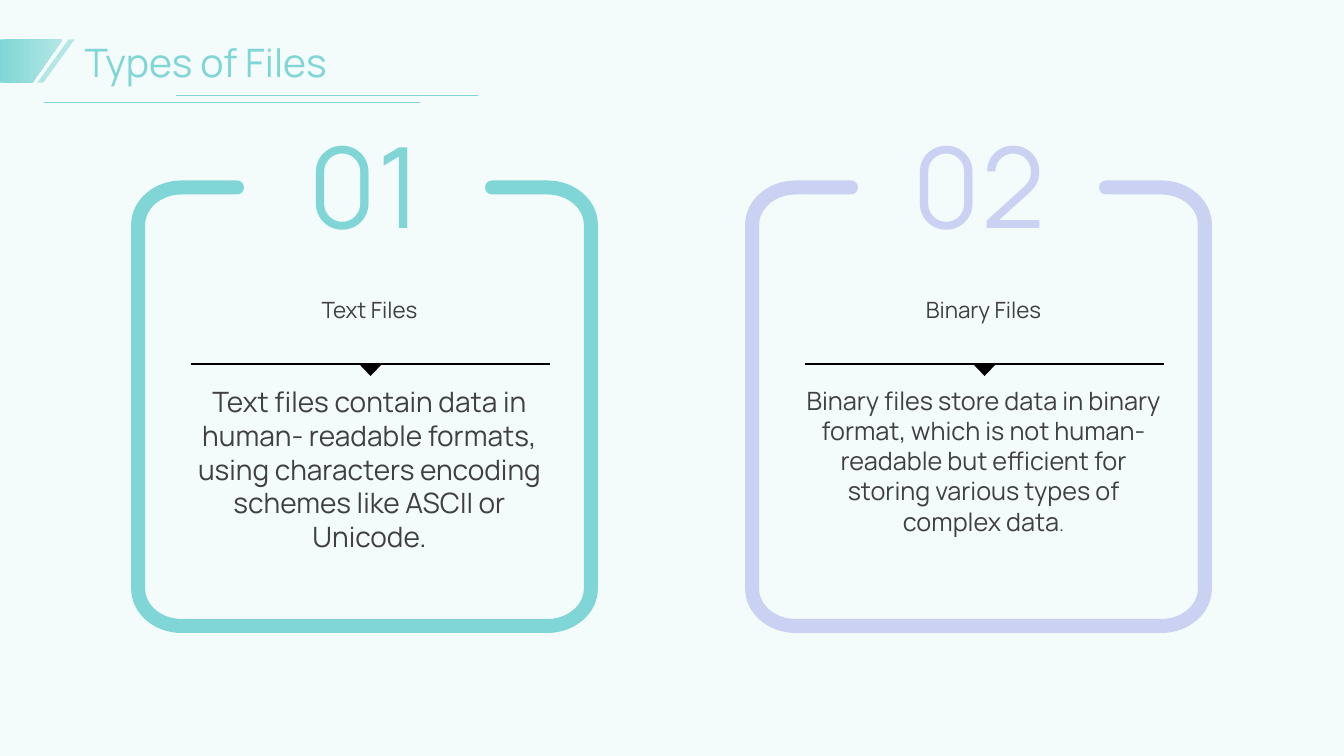
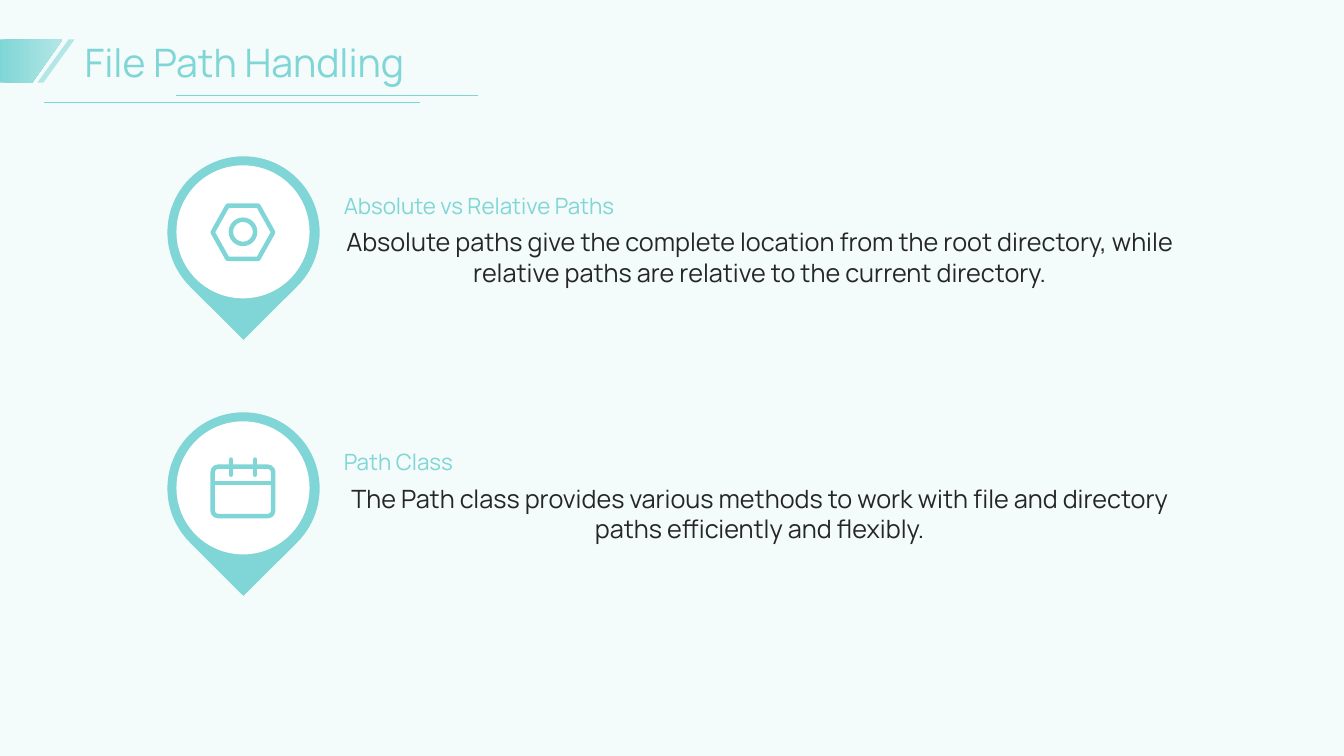
from lxml import etree
from pptx import Presentation
from pptx.dml.color import RGBColor
from pptx.enum import shapes, text
from pptx.oxml import ns
from pptx.util import Inches, Pt

TEAL = RGBColor(0x80, 0xD6, 0xD6)
PALE_TEAL = RGBColor(0xB3, 0xE6, 0xE6)
LILAC = RGBColor(0xCB, 0xD1, 0xF2)
MIST = RGBColor(0xE6, 0xF7, 0xF7)
GREY = RGBColor(0x40, 0x40, 0x40)
INK = RGBColor(0x26, 0x26, 0x26)
BLACK = RGBColor(0, 0, 0)
WHITE = RGBColor(0xFF, 0xFF, 0xFF)

SHAPE = shapes.MSO_SHAPE
LEFT, CENTER = text.PP_ALIGN.LEFT, text.PP_ALIGN.CENTER
TOP, MIDDLE, BOTTOM = (text.MSO_ANCHOR.TOP, text.MSO_ANCHOR.MIDDLE,
                       text.MSO_ANCHOR.BOTTOM)


class Deck:
    font = "Manrope"
    icon_line = 3.2

    def __init__(self):
        self.prs = Presentation()
        self.prs.slide_width = Inches(13.33)
        self.prs.slide_height = Inches(7.5)
        self.s = None

    def slide(self, title):
        """Start a slide with the shared tint and title band."""
        self.s = self.prs.slides.add_slide(self.prs.slide_layouts[6])
        tint = self.shape(SHAPE.RECTANGLE, (0, 0, 13.33, 7.5), MIST)
        color = tint._element.spPr.find(".//" + ns.qn("a:srgbClr"))
        etree.SubElement(color, ns.qn("a:alpha")).set("val", "43000")
        self.text((0.84, 0.36, 11.76, 0.51), [(title, 28)], TEAL,
                  anchor=MIDDLE, inset=False)
        self.shape(SHAPE.PARALLELOGRAM, (0.37, 0.39, 0.37, 0.43), PALE_TEAL,
                   rotation=180, adj=0.84)
        flag = self.outline([(0, 0.39), (0.62, 0.39), (0.32, 0.82), (0, 0.82)],
                            close=True)
        flag.fill.gradient()
        flag.fill.gradient_angle = 0
        for stop, color in zip(flag.fill.gradient_stops, (TEAL, PALE_TEAL)):
            stop.color.rgb = color
        flag.line.fill.background()
        self.line((0.44, 1.02), (4.17, 1.02), TEAL, 0.5)
        self.line((1.75, 0.95), (4.74, 0.95), TEAL, 0.5)

    def text(self, at, runs, color, align=LEFT, anchor=TOP, inset=True):
        tf = self.s.shapes.add_textbox(*map(Inches, at)).text_frame
        tf.word_wrap = True
        tf.vertical_anchor = anchor
        if not inset:
            tf.margin_left = tf.margin_right = 0
            tf.margin_top = tf.margin_bottom = 0
        p = tf.paragraphs[0]
        p.alignment = align
        for words, size in runs:
            r = p.add_run()
            r.text = words
            r.font.name = self.font
            r.font.size = Pt(size)
            r.font.color.rgb = color

    def shape(self, kind, at, fill=None, line=None, rotation=0, adj=None):
        sp = self.s.shapes.add_shape(kind, *map(Inches, at))
        sp.shadow.inherit = False
        sp.rotation = rotation
        if adj is not None:
            sp.adjustments[0] = adj
        if fill is None:
            sp.fill.background()
        else:
            sp.fill.solid()
            sp.fill.fore_color.rgb = fill
        if line is None:
            sp.line.fill.background()
        else:
            self.stroke(sp, line, self.icon_line)
        return sp

    def outline(self, points, close):
        points = [(Inches(x), Inches(y)) for x, y in points]
        builder = self.s.shapes.build_freeform(*points[0])
        builder.add_line_segments(points[1:], close=close)
        sp = builder.convert_to_shape()
        sp.shadow.inherit = False
        return sp

    def stroke(self, sp, color, width, rounded=True):
        sp.line.color.rgb = color
        sp.line.width = Pt(width)
        if rounded:
            ln = sp.line._get_or_add_ln()
            ln.set("cap", "rnd")
            etree.SubElement(ln, ns.qn("a:round"))

    def line(self, start, end, color, width, rounded=False):
        cx = self.s.shapes.add_connector(
            shapes.MSO_CONNECTOR.STRAIGHT, *map(Inches, start + end))
        self.stroke(cx, color, width, rounded)
        etree.SubElement(cx._element.spPr, ns.qn("a:effectLst"))

    def round_corner(self, before, corner, after):
        """Turn two path segments that meet in a corner into one curve."""
        start, mid, end = [
            [int(seg[0].get(axis)) for axis in "xy"]
            for seg in (before, corner, after)]
        curve = etree.Element(ns.qn("a:cubicBezTo"))
        controls = [[round(a + 0.55 * (m - a)) for a, m in zip(side, mid)]
                    for side in (start, end)]
        for x, y in controls + [end]:
            etree.SubElement(curve, ns.qn("a:pt"), x=str(x), y=str(y))
        parent = corner.getparent()
        parent.replace(corner, curve)
        parent.remove(after)

    def frame(self, x, y, w, h, color, rx=0.43, ry=0.37, stub=0.98):
        """Draw a rounded frame that is open in the middle of its top edge."""
        r, b = x + w, y + h
        sp = self.outline([
            (r - stub, y),
            (r - rx, y), (r, y), (r, y + ry),
            (r, b - ry), (r, b), (r - rx, b),
            (x + rx, b), (x, b), (x, b - ry),
            (x, y + ry), (x, y), (x + rx, y),
            (x + stub, y)], close=False)
        segments = list(sp._element.spPr.find(".//" + ns.qn("a:path")))
        for i in range(1, 13, 3):
            self.round_corner(*segments[i:i + 3])
        sp.fill.background()
        self.stroke(sp, color, 10)

    def card(self, x, number, label, body, color):
        self.frame(x, 1.86, 4.49, 4.35, color)
        self.text((x + 1.25, 1.11, 2, 1.54), [(number, 80)], color, CENTER)
        self.text((x + 0.42, 2.53, 3.75, 1.08), [(label, 16)], GREY, CENTER,
                  MIDDLE)
        self.text((x + 0.42, 3.77, 3.75, 2.33), body, GREY, CENTER)
        self.line((x + 0.52, 3.61), (x + 4.08, 3.61), BLACK, 1)
        self.shape(SHAPE.ISOSCELES_TRIANGLE, (x + 2.19, 3.61, 0.23, 0.12),
                   BLACK, rotation=180)

    def pin(self, y, heading, body, icon):
        self.shape(SHAPE.TEAR, (1.66, y, 1.51, 1.51), TEAL, rotation=135)
        self.text((3.41, y + 0.7, 8.25, 1.07), [(body, 18)], INK, CENTER,
                  inset=False)
        self.text((3.41, y + 0.18, 8.25, 0.44), [(heading, 16)], TEAL,
                  anchor=BOTTOM, inset=False)
        self.shape(SHAPE.OVAL, (1.75, y + 0.09, 1.32, 1.32), WHITE)
        icon(2.41, y + 0.75)

    def nut_icon(self, cx, cy):
        self.shape(SHAPE.HEXAGON, (cx - 0.3, cy - 0.26, 0.6, 0.53), line=TEAL,
                   adj=0.28)
        self.shape(SHAPE.OVAL, (cx - 0.12, cy - 0.12, 0.24, 0.24), line=TEAL)

    def calendar_icon(self, cx, cy):
        self.shape(SHAPE.ROUNDED_RECTANGLE, (cx - 0.3, cy - 0.21, 0.6, 0.49),
                   line=TEAL, adj=0.11)
        self.line((cx - 0.3, cy - 0.05), (cx + 0.3, cy - 0.05), TEAL,
                  self.icon_line)
        for x in (cx - 0.12, cx + 0.12):
            self.line((x, cy - 0.28), (x, cy - 0.13), TEAL, self.icon_line,
                      rounded=True)


def main():
    deck = Deck()

    deck.slide("Types of Files")
    deck.card(1.37, "01", "Text Files",
              [("Text files contain data in human- readable formats, using "
                "characters encoding schemes like ASCII or Unicode.", 20)],
              TEAL)
    deck.card(7.46, "02", "Binary Files",
              [("Binary files store data in binary format, which is not human- "
                "readable but efficient for storing various types of complex "
                "data", 18), (".", 14)],
              LILAC)

    deck.slide("File Path Handling")
    deck.pin(1.55, "Absolute vs Relative Paths",
             "Absolute paths give the complete location from the root "
             "directory, while relative paths are relative to the current "
             "directory.", deck.nut_icon)
    deck.pin(4.09, "Path Class",
             "The Path class provides various methods to work with file and "
             "directory paths efficiently and flexibly.", deck.calendar_icon)

    deck.prs.save("out.pptx")


if __name__ == "__main__":
    main()
